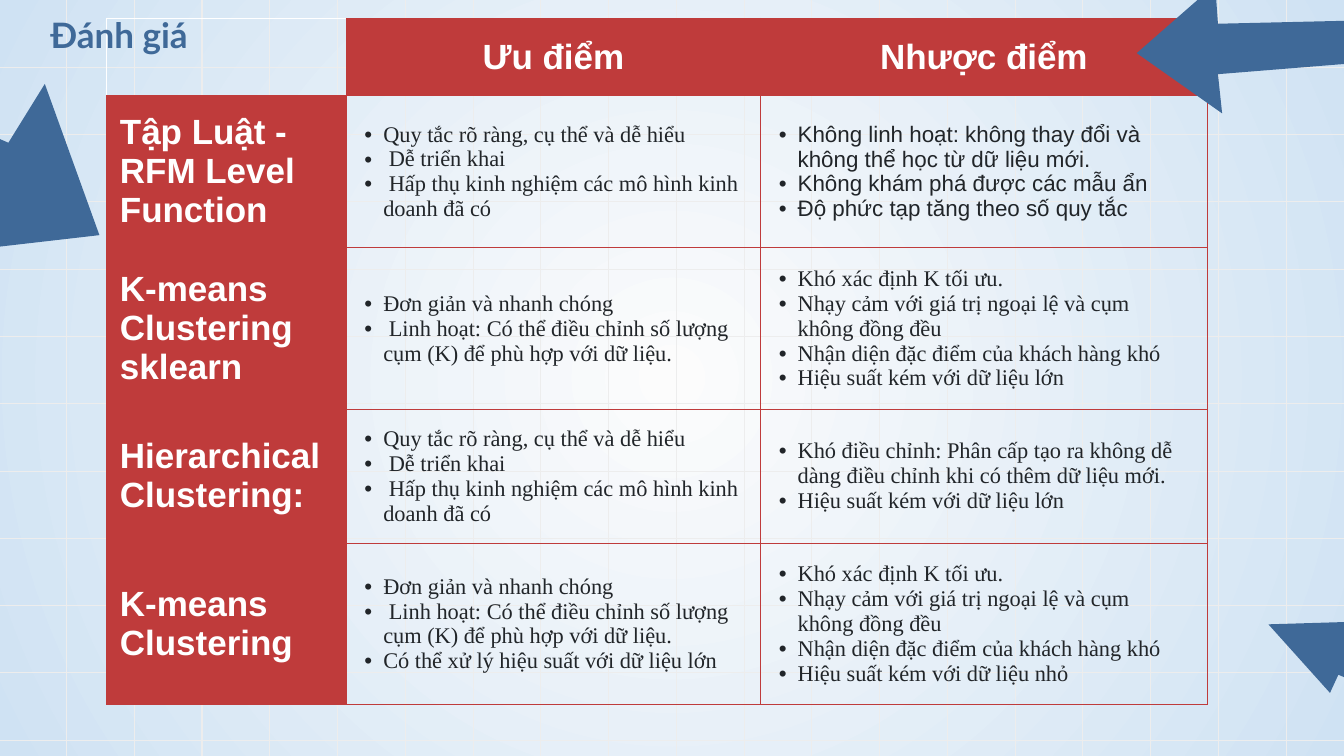
from lxml import etree
from pptx import Presentation
from pptx import util as u
from pptx.dml.color import RGBColor
from pptx.enum import shapes, text
from pptx.oxml import ns

Pt = u.Pt
HEX = {"red": "BF3B3B", "blue": "3F6998", "grid": "EDEDED", "ink": "212529",
       "white": "FFFFFF", "glow": "FCFCFC", "sky": "CFE2F3"}
RGB = {name: RGBColor.from_string(code) for name, code in HEX.items()}


def add(parent, tag, spot=None, **attrs):
    """Put a DrawingML child into parent, at index spot or last."""
    node = etree.Element(ns.qn(tag), attrs)
    parent.insert(len(parent) if spot is None else spot, node)
    return node


def write(para, words, style):
    run = para.add_run()
    run.text = words
    for key in ("name", "size", "bold"):
        setattr(run.font, key, style[key])
    run.font.color.rgb = RGB[style["color"]]


HEAD = {"name": "Arial", "size": Pt(25), "bold": True, "color": "white"}
BODY = {"name": "Times New Roman", "size": Pt(16), "bold": False, "color": "ink"}
TITLE = {**HEAD, "name": "Lato", "color": "blue"}

deck = Presentation()
deck.slide_width, deck.slide_height = Pt(960), Pt(540)
slide = deck.slides.add_slide(deck.slide_layouts[5])

# Background glow
fill = slide.background.fill
fill.gradient()
for stop, name in zip(fill.gradient_stops, ("glow", "sky")):
    stop.color.rgb = RGB[name]
grad = slide.background._cSld.find(".//" + ns.qn("a:gradFill"))
grad.remove(grad.find(ns.qn("a:lin")))
ring = add(grad, "a:path", path="circle")
add(ring, "a:fillToRect", l="50000", t="50000", r="50000", b="50000")

# Grid
rules = [(-1, 48.07 * n, 961, 48.07 * n) for n in range(1, 12)]
rules += [(47.5 + 48.4 * n, 0, 47.5 + 48.4 * n, 546) for n in range(19)]
for ends in rules:
    rule = slide.shapes.add_connector(
        shapes.MSO_CONNECTOR.STRAIGHT, *[Pt(x) for x in ends])
    rule.line.color.rgb = RGB["grid"]
    rule.line.width = Pt(0.75)
    add(rule._element.spPr, "a:effectLst")

# Arrows at the left and lower right lie under the table, the last one over it
arrows = [
    [(31.7, 60.5), (6.5, 101.5), (-39.6, 82), (-184.3, -59.8), (-241.2, 34.6),
     (-54.7, 110.2), (-17.3, 140.4), (-42.5, 181.4), (71.3, 167.8)],
    [(1079.3, 446.4), (1047.6, 521.3), (956.2, 482.4), (950.4, 495.4),
     (906.5, 445.7), (972, 443.5), (967, 456.5), (1026.7, 481.7), (1046.9, 432.7)],
    [(868.3, -10.8), (812.5, 38.2), (873.4, 81.4), (870.5, 53.2),
     (1129.7, 32.4), (1128.2, 10.8), (869.5, 17.3)],
]
for points in arrows:
    pen = slide.shapes.build_freeform(*points[0], scale=Pt(1))
    pen.add_line_segments(points[1:])
    arrow = pen.convert_to_shape()
    arrow.fill.solid()
    arrow.fill.fore_color.rgb = RGB["blue"]
    arrow.line.fill.background()
    arrow.shadow.inherit = False

# Comparison table
rigid = ["Quy tắc rõ ràng, cụ thể và dễ hiểu", " Dễ triển khai",
         " Hấp thụ kinh nghiệm các mô hình kinh doanh đã có"]
simple = ["Đơn giản và nhanh chóng",
          " Linh hoạt: Có thể điều chỉnh số lượng cụm (K) để phù hợp với dữ liệu."]
fuzzy = ["Khó xác định K tối ưu.",
         "Nhạy cảm với giá trị ngoại lệ và cụm không đồng đều",
         "Nhận diện đặc điểm của khách hàng khó"]
large = "Hiệu suất kém với dữ liệu lớn"
rows = [
    ("", "Ưu điểm", "Nhược điểm"),
    ("Tập Luật - RFM Level Function", rigid,
     ["Không linh hoạt: không thay đổi và không thể học từ dữ liệu mới.",
      "Không khám phá được các mẫu ẩn", "Độ phức tạp tăng theo số quy tắc"]),
    ("K-means Clustering sklearn", simple, fuzzy + [large]),
    ("Hierarchical Clustering:", rigid,
     ["Khó điều chỉnh: Phân cấp tạo ra không dễ dàng điều chỉnh khi có thêm dữ liệu mới.",
      large]),
    ("K-means Clustering", simple + ["Có thể xử lý hiệu suất với dữ liệu lớn"],
     fuzzy + ["Hiệu suất kém với dữ liệu nhỏ"]),
]
widths, heights = (171, 296, 319), (55.4, 108.7, 115.2, 95.8, 115.2)
frame = slide.shapes.add_table(5, 3, Pt(76.3), Pt(13), Pt(sum(widths)), Pt(sum(heights)))
table = frame.table
table.first_row = table.horz_banding = False
for col, width in zip(table.columns, widths):
    col.width = Pt(width)
for row, height in zip(table.rows, heights):
    row.height = Pt(height)

for r, row in enumerate(rows):
    for c, entry in enumerate(row):
        cell = table.cell(r, c)
        listed = isinstance(entry, list)
        side = Pt(13 if listed else 9.4)
        form = {"vertical_anchor": text.MSO_ANCHOR.MIDDLE,
                "margin_left": side, "margin_right": side,
                "margin_top": Pt(9.4), "margin_bottom": Pt(9.4)}
        for key, value in form.items():
            setattr(cell, key, value)
        if entry and not listed:
            cell.fill.solid()
            cell.fill.fore_color.rgb = RGB["red"]
        else:
            cell.fill.background()
        for spot, edge in enumerate("LRTB" if entry else "RB"):
            line = add(cell._tc.tcPr, "a:ln" + edge, spot, w=str(Pt(0.75)))
            add(add(line, "a:solidFill"), "a:srgbClr", val=HEX["red"])

        if listed:
            style = {**BODY, "name": "Arial"} if (r, c) == (1, 2) else BODY
            for n, words in enumerate(entry):
                para = cell.text_frame.add_paragraph() if n else cell.text_frame.paragraphs[0]
                props = para._p.get_or_add_pPr()
                props.set("marL", str(Pt(13.5)))
                props.set("indent", str(-Pt(13.5)))
                add(add(props, "a:buClr"), "a:srgbClr", val=HEX["ink"])
                add(props, "a:buFont", typeface="Arial")
                add(props, "a:buChar", char="•")
                write(para, words, style)
        elif entry:
            para = cell.text_frame.paragraphs[0]
            para.alignment = text.PP_ALIGN.LEFT if r else text.PP_ALIGN.CENTER
            write(para, entry, HEAD)

# The top arrow and the title stand in front
tree = slide.shapes._spTree
tree.append(arrow._element)
title = slide.shapes.title
tree.append(title._element)
place = {"left": Pt(26.6), "top": Pt(0), "width": Pt(810), "height": Pt(63.4)}
for key, value in place.items():
    setattr(title, key, value)
box = title.text_frame
form = {"vertical_anchor": text.MSO_ANCHOR.TOP, "word_wrap": True,
        "auto_size": text.MSO_AUTO_SIZE.NONE}
form.update({"margin_" + edge: Pt(9.4) for edge in ("left", "top", "right", "bottom")})
for key, value in form.items():
    setattr(box, key, value)
box.paragraphs[0].alignment = text.PP_ALIGN.LEFT
write(box.paragraphs[0], "Đánh giá", TITLE)

deck.save("out.pptx")
